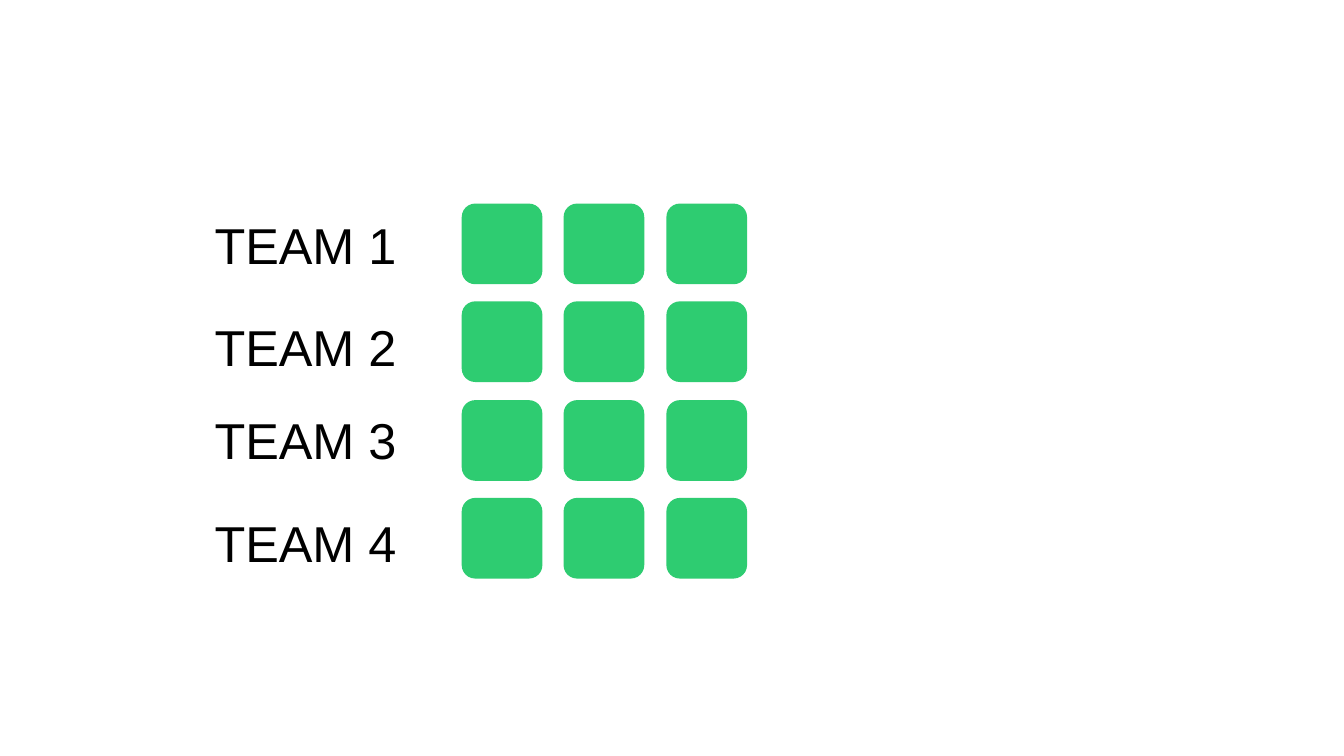
from dataclasses import dataclass

from pptx import Presentation, util as u
from pptx.dml.color import RGBColor
from pptx.enum import shapes, text
from pptx.slide import Slide

PX = 9144  # EMU per px, 100 px to the inch
COLOURS = {"tile": "2ECC71", "label": "000000"}

# Tile grid, with steps of 101.5 px across and 97.5 px down
GRID_LEFT, GRID_TOP, TILE_SIZE = 458, 202, 80
COLUMNS = 3
DOUBLE_STEP_X, DOUBLE_STEP_Y = 203, 195
LABEL_LEFT, LABEL_HEIGHT = 203, 71


@dataclass(frozen=True)
class Team:
    name: str
    label_top: int
    label_width: int = 219


TEAMS = [
    Team("TEAM 1", 207, 212),
    Team("TEAM 2", 309),
    Team("TEAM 3", 401),
    Team("TEAM 4", 503),
]


def px(*lengths: int) -> list[u.Emu]:
    return [u.Emu(length * PX) for length in lengths]


def add_tile(page: Slide, left: int, top: int) -> None:
    tile = page.shapes.add_shape(
        shapes.MSO_SHAPE.ROUNDED_RECTANGLE, *px(left, top, TILE_SIZE, TILE_SIZE)
    )
    tile.shadow.inherit = False
    tile.fill.solid()
    tile.fill.fore_color.rgb = RGBColor.from_string(COLOURS["tile"])
    tile.line.fill.background()


def add_label(page: Slide, wording: str, *, left: int, top: int, width: int,
              height: int, size: int = 36, font: str = "Arial",
              colour: str = "label") -> None:
    box = page.shapes.add_textbox(*px(left, top, width, height))
    frame = box.text_frame
    frame.word_wrap = False
    frame.auto_size = text.MSO_AUTO_SIZE.SHAPE_TO_FIT_TEXT
    span = frame.paragraphs[0].add_run()
    span.text = wording
    span.font.name = font
    span.font.size = u.Pt(size)
    span.font.color.rgb = RGBColor.from_string(COLOURS[colour])


def main() -> None:
    deck = Presentation()
    deck.slide_width, deck.slide_height = px(1333, 750)
    page = deck.slides.add_slide(deck.slide_layouts[6])

    # One row per team: a label and its tiles
    for row, team in enumerate(TEAMS):
        add_label(page, team.name, left=LABEL_LEFT, top=team.label_top,
                  width=team.label_width, height=LABEL_HEIGHT)
        for column in range(COLUMNS):
            add_tile(page, GRID_LEFT + column * DOUBLE_STEP_X // 2,
                     GRID_TOP + row * DOUBLE_STEP_Y // 2)

    deck.save("out.pptx")


if __name__ == "__main__":
    main()
